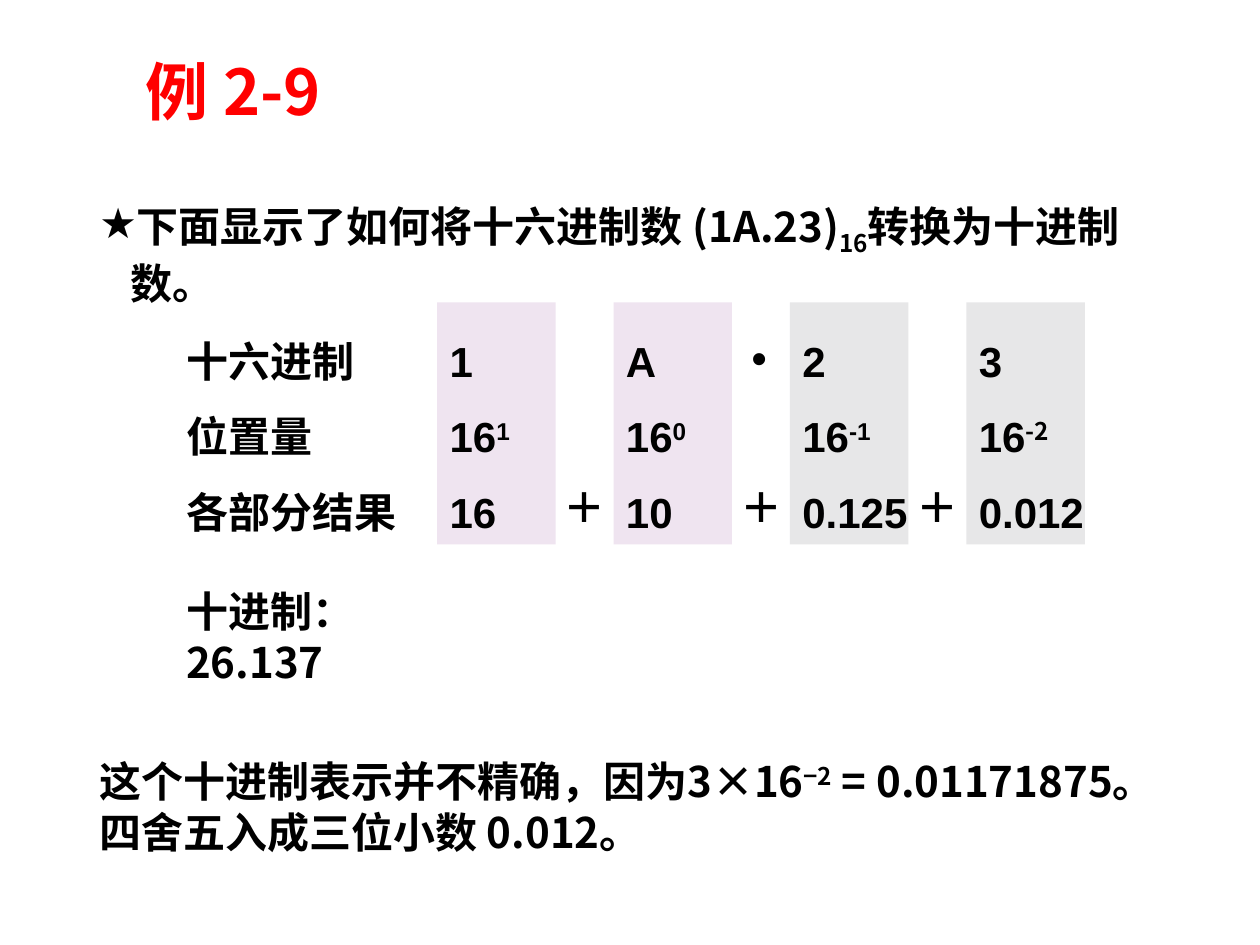
"""Build the slide for example 2-9, hexadecimal to decimal conversion."""
from lxml.etree import SubElement
from pptx import Presentation
from pptx.dml.color import RGBColor
from pptx.enum.shapes import MSO_SHAPE
from pptx.enum.text import MSO_ANCHOR, PP_ALIGN
from pptx.oxml.ns import qn
from pptx.util import Inches, Pt

COLORS = {"title": "FF0000", "text": "000000", "whole": "EFE4F0", "fraction": "E7E7E8"}
CJK, LATIN, SIGN = "Noto Sans CJK SC", "Arial", "Calibri"
SUPERSCRIPT, SUBSCRIPT = 30, -25

TITLE = [["例 2-9"]]
INTRO = [["下面显示了如何将十六进制数 (1A.23)", ("16", SUBSCRIPT), "转换为十进制数。"]]
NOTE = [["这个十进制表示并不精确，因为3×16", ("−2", SUPERSCRIPT),
         " = 0.01171875。四舍五入成三位小数 0.012。"]]
LABELS = [["十六进制"], ["位置量"], ["各部分结果"]]
RESULT = [["十进制：26.137"]]
DIGITS = [
    ("1", "1", "16", "whole", LATIN),
    ("A", "0", "10", "whole", LATIN),
    ("2", "-1", "0.125", "fraction", LATIN),
    ("3", "-2", "0.012", "fraction", CJK),
]

GRID_LEFT, GRID_TOP, PITCH = 3.47, 2.4, 1.4
COLUMN_WIDTH, COLUMN_HEIGHT = 0.94, 1.92
SIGN_WIDTH, SIGN_TOP, SIGN_HEIGHT = 0.54, 3.77, 0.5


def write(shape, paragraphs, font=LATIN, size=24, color="text", spacing=1.0,
          wrap=True, anchor=MSO_ANCHOR.TOP, align=PP_ALIGN.LEFT):
    frame = shape.text_frame
    frame.word_wrap = wrap
    frame.vertical_anchor = anchor
    for index, runs in enumerate(paragraphs):
        paragraph = frame.add_paragraph() if index else frame.paragraphs[0]
        paragraph.alignment = align
        paragraph.line_spacing = spacing
        for item in runs:
            text, baseline, face = ((item,) if isinstance(item, str) else item) + (0, font)[
                (0 if isinstance(item, str) else len(item) - 1):]
            run = paragraph.add_run()
            run.text = text
            run.font.size = Pt(size)
            run.font.bold = True
            run.font.name = face
            run.font.color.rgb = RGBColor.from_string(COLORS[color])
            properties = run.font._element
            if baseline:
                properties.set("baseline", str(baseline * 1000))
            if face == CJK:
                SubElement(properties, qn("a:ea"), typeface=CJK)
    return shape


def add_text(slide, left, top, width, height, paragraphs, **style):
    box = slide.shapes.add_textbox(*map(Inches, (left, top, width, height)))
    return write(box, paragraphs, **style)


def add_star_bullet(paragraph):
    properties = paragraph._p.get_or_add_pPr()
    properties.set("marL", str(Inches(0.25)))
    properties.set("indent", str(-Inches(0.25)))
    SubElement(properties, qn("a:buChar"), char="★")


def add_digit_column(slide, column, digit, power, value, kind, power_font):
    shape = slide.shapes.add_shape(
        MSO_SHAPE.RECTANGLE, Inches(GRID_LEFT + column * PITCH), Inches(GRID_TOP),
        Inches(COLUMN_WIDTH), Inches(COLUMN_HEIGHT))
    shape.shadow.inherit = False
    shape.fill.solid()
    shape.fill.fore_color.rgb = RGBColor.from_string(COLORS[kind])
    shape.line.fill.background()
    write(shape, [[digit], ["16", (power, SUPERSCRIPT, power_font)], [value]],
          spacing=1.5, wrap=False, anchor=MSO_ANCHOR.MIDDLE)


def main():
    presentation = Presentation()
    presentation.slide_width, presentation.slide_height = Inches(10), Inches(7.5)
    slide = presentation.slides.add_slide(presentation.slide_layouts[6])

    add_text(slide, 1.06, 0.43, 7.87, 0.65, TITLE, font=CJK, size=36, color="title",
             spacing=0.9, anchor=MSO_ANCHOR.MIDDLE)
    intro = add_text(slide, 0.69, 1.54, 8.62, 0.95, INTRO, font=CJK)
    add_star_bullet(intro.text_frame.paragraphs[0])
    add_text(slide, 0.69, 5.95, 8.62, 0.9, NOTE, font=CJK)

    for column, digit in enumerate(DIGITS):
        add_digit_column(slide, column, *digit)
    gap = PITCH - COLUMN_WIDTH
    for column in range(len(DIGITS) - 1):
        center = GRID_LEFT + column * PITCH + COLUMN_WIDTH + gap / 2
        add_text(slide, center - SIGN_WIDTH / 2, SIGN_TOP, SIGN_WIDTH, SIGN_HEIGHT,
                 [["＋"]], font=SIGN, wrap=False, align=PP_ALIGN.CENTER)

    add_text(slide, 1.38, GRID_TOP, 1.88, COLUMN_HEIGHT, LABELS, spacing=1.5,
             wrap=False, anchor=MSO_ANCHOR.MIDDLE)
    add_text(slide, 5.87, 2.58, 0.34, 0.5, [["•"]], wrap=False)
    add_text(slide, 1.38, 4.6, 2.57, 0.5, RESULT, font=CJK)
    presentation.save("out.pptx")


if __name__ == "__main__":
    main()
